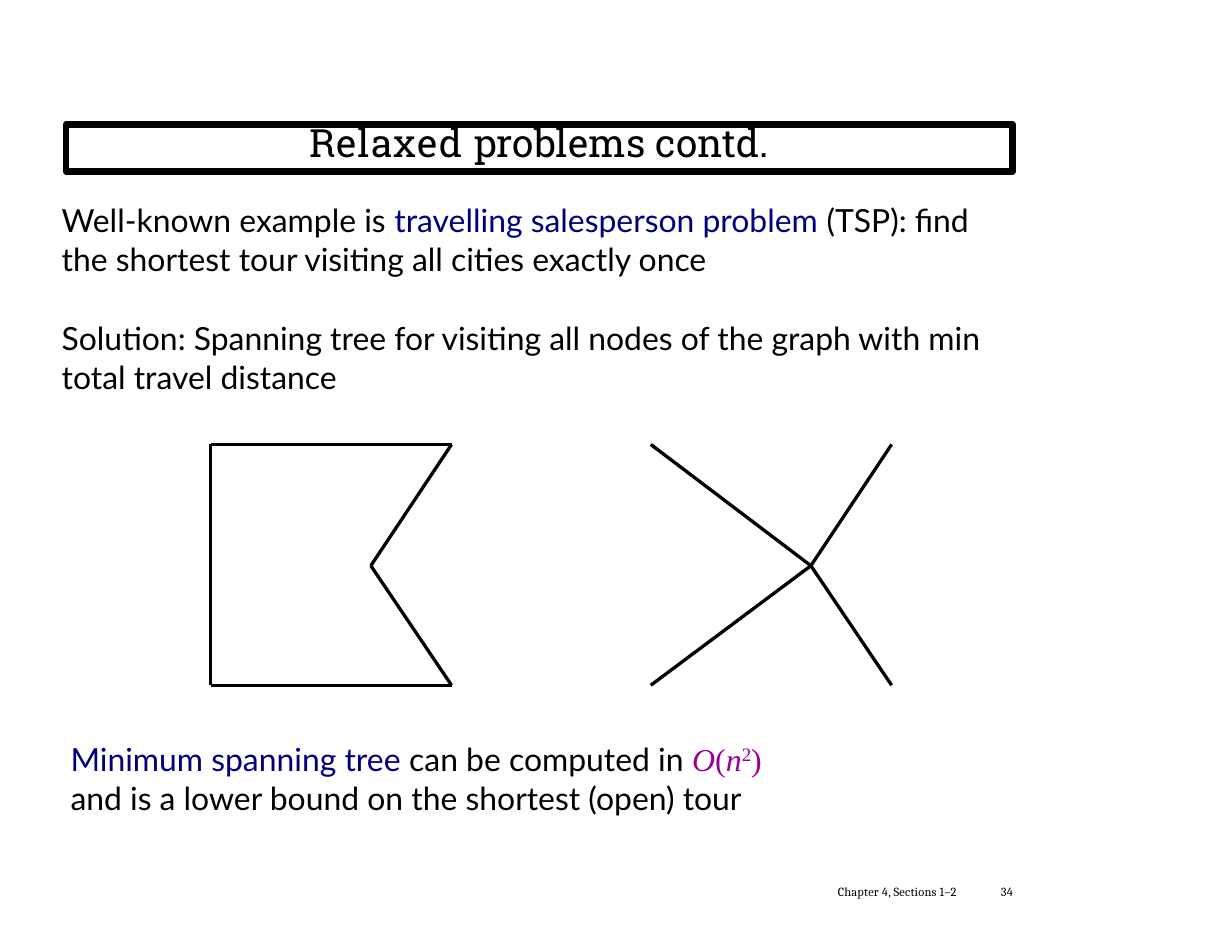
from dataclasses import dataclass
from lxml import etree
from pptx import Presentation
from pptx import util as u
from pptx.dml.color import RGBColor
from pptx.enum import shapes, text
from pptx.oxml.ns import qn


@dataclass(frozen=True)
class Theme:
    ink: str = "000000"
    navy: str = "00007E"
    plum: str = "990099"
    head: str = "Roboto Slab"
    body: str = "Lato"
    math: str = "Times New Roman"
    foot: str = "Cambria"
    big: float = 25
    mid: float = 20.5
    low: float = 8
    frame: float = 4.08
    edge: float = 2.14


class Deck:
    def __init__(self, look):
        self.look = look
        self.prs = Presentation()
        self.prs.slide_width = u.Cm(27.94)
        self.prs.slide_height = u.Cm(21.59)
        self.slide = self.prs.slides.add_slide(self.prs.slide_layouts[5])

    def run(self, para, words, font, size, tint=None, slant=False, gap=0, lift=0):
        run = para.add_run()
        run.text = words
        run.font.name = font
        run.font.size = u.Pt(size)
        run.font.italic = slant
        run.font.color.rgb = RGBColor.from_string(tint or self.look.ink)
        props = run.font._element
        if gap:
            props.set("spc", str(gap))
        if lift:
            props.set("baseline", str(lift))

    def frame(self, shape, box):
        shape.left, shape.top, shape.width, shape.height = map(u.Cm, box)
        area = shape.text_frame
        area.margin_left = area.margin_right = area.margin_top = area.margin_bottom = 0
        area.word_wrap = True
        area.auto_size = text.MSO_AUTO_SIZE.NONE
        area.vertical_anchor = text.MSO_ANCHOR.TOP
        return area

    def title(self, parts, box):
        shape = self.slide.shapes.title
        para = self.frame(shape, box).paragraphs[0]
        para.alignment = text.PP_ALIGN.CENTER
        para.line_spacing = u.Pt(26.4)
        shape.line.color.rgb = RGBColor.from_string(self.look.ink)
        shape.line.width = u.Pt(self.look.frame)
        for words, gap in parts:
            self.run(para, words, self.look.head, self.look.big, gap=gap)

    def text(self, paras, box, lead=1.0, space=0):
        area = self.frame(self.slide.shapes.add_textbox(0, 0, 0, 0), box)
        for i, runs in enumerate(paras):
            para = area.add_paragraph() if i else area.paragraphs[0]
            para.line_spacing = lead
            if i:
                para.space_before = u.Pt(space)
            for run in runs:
                self.run(para, **run)

    def line(self, start, end):
        ends = map(u.Cm, (*start, *end))
        edge = self.slide.shapes.add_connector(shapes.MSO_CONNECTOR.STRAIGHT, *ends)
        edge.line.color.rgb = RGBColor.from_string(self.look.ink)
        edge.line.width = u.Pt(self.look.edge)
        etree.SubElement(edge._element.spPr, qn("a:effectLst"))

    def graph(self, nodes, edges, shift=0):
        for a, b in edges:
            (x1, y1), (x2, y2) = nodes[a], nodes[b]
            self.line((x1 + shift, y1), (x2 + shift, y2))


def main():
    look = Theme()
    deck = Deck(look)
    deck.title([("Relaxed ", 70), ("problems contd.", 10)], (1.5, 2.82, 21.46, 1.07))

    body = dict(font=look.body, size=look.mid)
    navy = dict(body, tint=look.navy)
    math = dict(font=look.math, size=look.mid, tint=look.plum)
    foot = dict(font=look.foot, size=look.low, gap=10)

    deck.text([
        [dict(body, words="Well-known example is "),
         dict(navy, words="travelling salesperson problem "),
         dict(body, words="(TSP): find the shortest tour visiting all cities exactly once")],
        [dict(body, words="Solution: Spanning tree for visiting all nodes of the graph "
                          "with min total travel distance")],
    ], (1.4, 4.54, 21.53, 4.45), lead=1.01, space=26.4)

    cities = {"nw": (4.78, 10.08), "ne": (10.24, 10.08), "mid": (8.41, 12.83),
              "se": (10.24, 15.54), "sw": (4.78, 15.54)}
    tour = list(cities)
    deck.graph(cities, zip(tour, tour[1:] + tour[:1]))
    deck.graph(cities, [("mid", c) for c in tour if c != "mid"], shift=9.98)

    deck.text([
        [dict(navy, words="Minimum spanning tree "),
         dict(body, words="can be computed in "),
         dict(math, words="O", slant=True),
         dict(math, words="("),
         dict(math, words="n", slant=True),
         dict(math, words="2", size=21, lift=30000),
         dict(math, words=")")],
        [dict(body, words="and is a lower bound on the shortest (open) tour")],
    ], (1.6, 16.76, 22.1, 1.8), space=0.2)

    deck.text([[dict(foot, words="Chapter 4, Sections 1–2")]], (19, 20.04, 3.3, 0.36))
    deck.text([[dict(foot, words="34")]], (22.7, 20.04, 0.6, 0.36))
    deck.prs.save("out.pptx")


if __name__ == "__main__":
    main()
